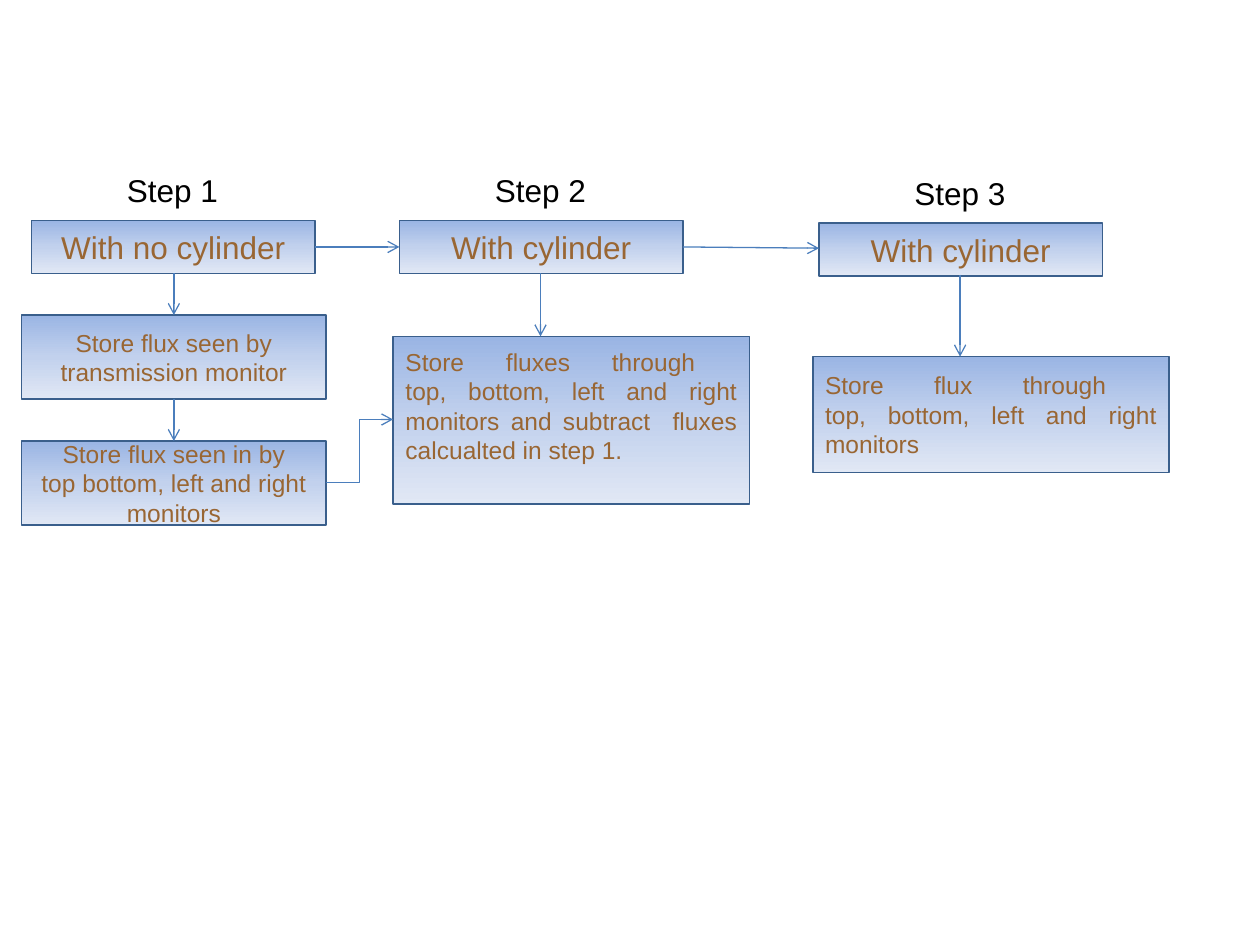
import copy
import dataclasses
import pptx
import pptx.dml.color
import pptx.enum.shapes
import pptx.enum.text
import pptx.oxml
import pptx.oxml.ns
import pptx.util

Inches = pptx.util.Inches
Pt = pptx.util.Pt
RGB = pptx.dml.color.RGBColor.from_string
Align = pptx.enum.text.PP_ALIGN
Anchor = pptx.enum.text.MSO_ANCHOR
Link = pptx.enum.shapes.MSO_CONNECTOR
qn = pptx.oxml.ns.qn


@dataclasses.dataclass
class Theme:
    font: str = "Arial"
    head: int = 18
    body: int = 14
    ink: str = "000000"
    brown: str = "996633"
    edge: str = "3A5F8C"
    arrow: str = "4B7EBC"
    fade: tuple = ((0, "9AB5E4"), (0.5, "C2D1ED"), (1, "E1E8F5"))


theme = Theme()


def write(shape, text, size=theme.body, color=theme.brown, align=Align.CENTER,
          anchor=Anchor.MIDDLE, wrap=True, foot=0.05):
    frame = shape.text_frame
    frame.word_wrap = wrap
    frame.vertical_anchor = anchor
    frame.margin_bottom = Inches(foot)
    para = frame.paragraphs[0]
    para.text = text
    para.alignment = align
    for run in para.runs:
        run.font.name = theme.font
        run.font.size = Pt(size)
        run.font.color.rgb = RGB(color)


def box(left, top, width, height, text, **style):
    shape = shapes.add_shape(pptx.enum.shapes.MSO_SHAPE.RECTANGLE,
                             Inches(left), Inches(top), Inches(width), Inches(height))
    shape.shadow.inherit = False
    shape.fill.gradient()
    shape.fill.gradient_angle = 270
    stops = shape._element.spPr.find(".//" + qn("a:gsLst"))
    stops.append(copy.deepcopy(stops[0]))
    for stop, (place, color) in zip(shape.fill.gradient_stops, theme.fade):
        stop.position = place
        stop.color.rgb = RGB(color)
    shape.line.color.rgb = RGB(theme.edge)
    shape.line.width = Pt(1)
    write(shape, text, **style)


deck = pptx.Presentation()
deck.slide_width = Inches(10)
deck.slide_height = Inches(7.5)
slide = deck.slides.add_slide(deck.slide_layouts[6])
shapes = slide.shapes

steps = [
    (0.25, 1.75, "With no cylinder"),
    (3.17, 1.75, "With cylinder"),
    (6.5, 1.77, "With cylinder"),
]
for count, (left, top, text) in enumerate(steps, 1):
    box(left, top, 2.25, 0.42, text, size=theme.head)
    label = shapes.add_textbox(Inches(left + 0.66), Inches(top - 0.44),
                               Inches(0.93), Inches(0.4))
    write(label, f"Step {count}", size=theme.head, color=theme.ink,
          align=Align.LEFT, anchor=Anchor.TOP, wrap=False)

tasks = ["Store flux seen by transmission monitor",
         "Store flux seen in by\ntop bottom, left and right monitors"]
for row, text in enumerate(tasks):
    box(0.17, 2.5 + row, 2.42, 0.67, text)

box(3.12, 2.67, 2.83, 1.33,
    "Store fluxes through \ntop, bottom, left and right monitors and subtract  fluxes "
    "calcualted in step 1. ", align=Align.JUSTIFY, foot=0.28)
box(6.45, 2.83, 2.83, 0.92,
    "Store flux through \ntop, bottom, left and right monitors", align=Align.JUSTIFY)

links = [
    (Link.ELBOW, 2.59, 3.83, 3.12, 3.33),
    (Link.STRAIGHT, 1.38, 2.17, 1.38, 2.5),
    (Link.STRAIGHT, 1.38, 3.17, 1.38, 3.5),
    (Link.STRAIGHT, 2.5, 1.96, 3.17, 1.96),
    (Link.STRAIGHT, 4.29, 2.17, 4.29, 2.67),
    (Link.STRAIGHT, 5.42, 1.96, 6.5, 1.97),
    (Link.STRAIGHT, 7.62, 2.18, 7.62, 2.83),
]
for kind, *ends in links:
    link = shapes.add_connector(kind, *map(Inches, ends))
    link.line.color.rgb = RGB(theme.arrow)
    link.line.width = Pt(0.75)
    tail = pptx.oxml.parse_xml(
        f'<a:tailEnd {pptx.oxml.ns.nsdecls("a")} type="arrow"/>')
    link.line._get_or_add_ln().append(tail)
    link._element.spPr.append(pptx.oxml.parse_xml(
        f'<a:effectLst {pptx.oxml.ns.nsdecls("a")}/>'))

deck.save("out.pptx")
